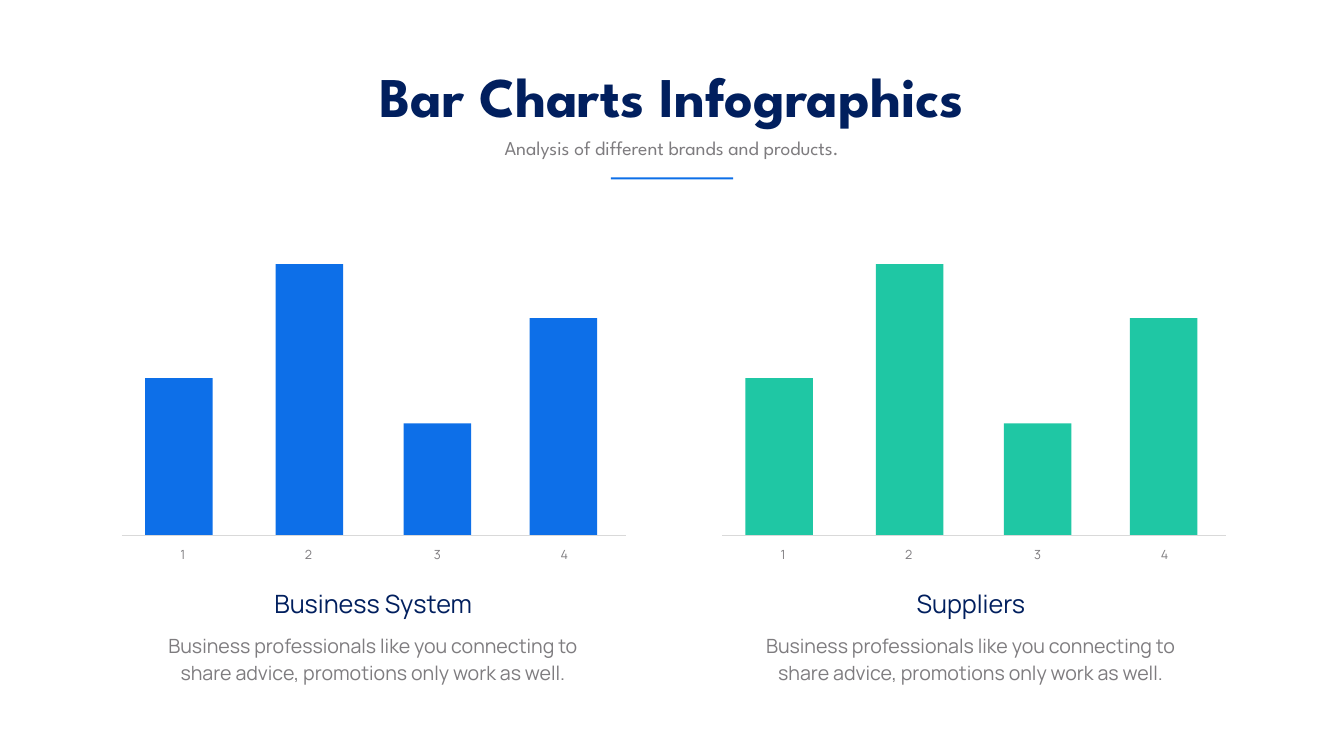
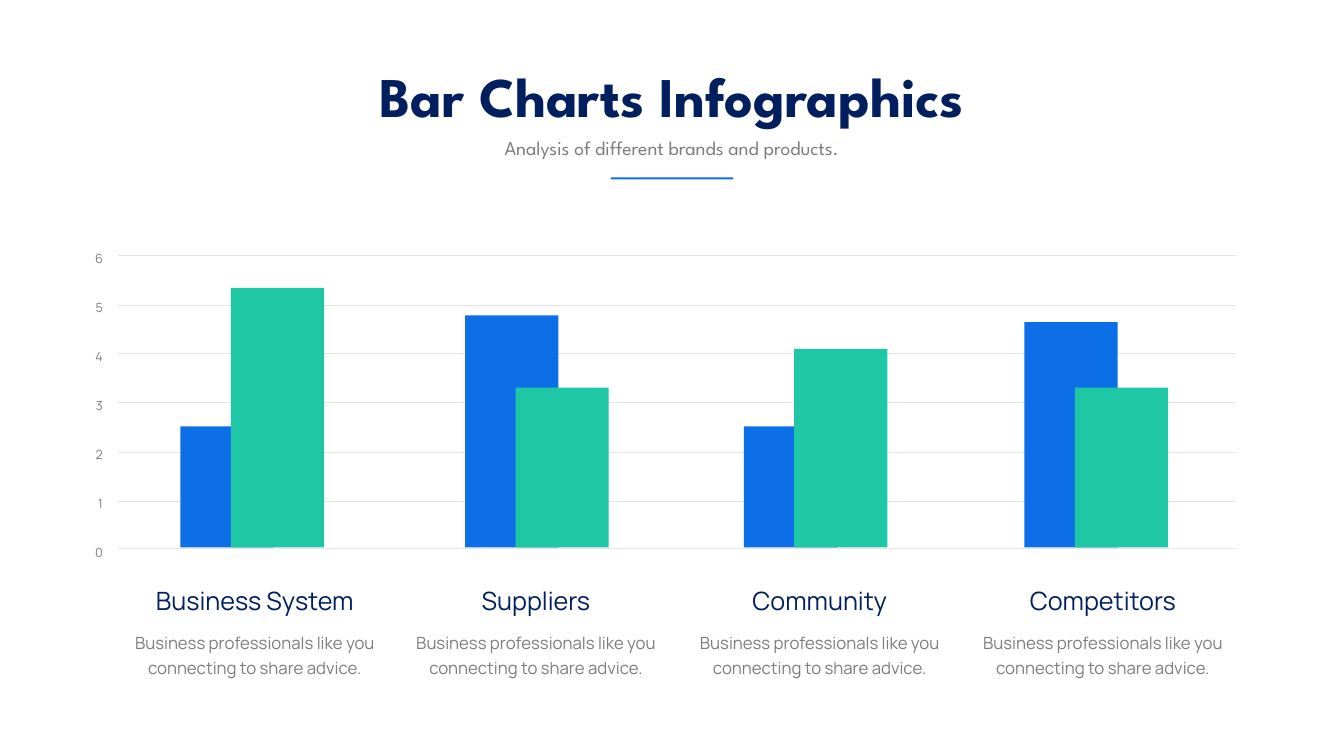
from lxml import etree
from pptx import Presentation
from pptx.dml.color import RGBColor
from pptx.enum.shapes import MSO_CONNECTOR, MSO_SHAPE
from pptx.enum.text import MSO_AUTO_SIZE, PP_ALIGN
from pptx.oxml.ns import qn
from pptx.util import Pt

PX = 9144
RECT = MSO_SHAPE.RECTANGLE
LINE = MSO_CONNECTOR.STRAIGHT
GROW = MSO_AUTO_SIZE.SHAPE_TO_FIT_TEXT
MID, RIGHT = PP_ALIGN.CENTER, PP_ALIGN.RIGHT
HEAD, BODY = "League Spartan", "Manrope"
COL = {
    "navy": "011F5E",
    "gray": "7E7C7F",
    "blue": "0D6FE8",
    "green": "1FC7A4",
    "base": "D9D9D9",
    "grid": "E5E5E5",
}


def text(slide, words, x, y, w, h, size, color="gray", font=BODY,
         lead=None, align=MID, bold=False, wrap=True):
    box = slide.shapes.add_textbox(x * PX, y * PX, w * PX, h * PX)
    frame = box.text_frame
    frame.word_wrap = wrap
    frame.auto_size = GROW
    para = frame.paragraphs[0]
    para.text = words
    para.alignment = align
    if lead:
        para.line_spacing = Pt(lead)
    para.font.name = font
    para.font.size = Pt(size)
    para.font.bold = bold
    para.font.color.rgb = RGBColor.from_string(COL[color])


def draw(slide, x, y, w, h, color, width=1):
    rgb = RGBColor.from_string(COL[color])
    if h:
        bar = slide.shapes.add_shape(RECT, x * PX, y * PX, w * PX, h * PX)
        bar.shadow.inherit = False
        bar.fill.solid()
        bar.fill.fore_color.rgb = rgb
        bar.line.fill.background()
    else:
        rule = slide.shapes.add_connector(
            LINE, x * PX, y * PX, (x + w) * PX, y * PX)
        rule.line.color.rgb = rgb
        rule.line.width = Pt(width)
        etree.SubElement(rule._element.spPr, qn("a:effectLst"))


deck = Presentation()
deck.slide_width = 2667 * PX
deck.slide_height = 1500 * PX
pair, group = [deck.slides.add_slide(deck.slide_layouts[6]) for _ in range(2)]

for slide in (pair, group):
    text(slide, "Bar Charts Infographics", 692, 117, 1282, 145, 80,
         "navy", HEAD, bold=True, wrap=False)
    text(slide, "Analysis of different brands and products.",
         855, 265, 956, 57, 28, font=HEAD)
    draw(slide, 1212, 352, 243, 4, "blue")

FLOOR = 1062
BARS = [(46, 312, 62), (305, 538, 311), (559, 222, 567), (809, 431, 819)]
PANELS = [
    (242, 288, "Business System", "blue"),
    (1433, 1474, "Suppliers", "green"),
]
for left, note, name, color in PANELS:
    text(pair, "Business professionals like you connecting to share advice, "
         "promotions only work as well.", note, 1245, 904, 118, 28, lead=38.6)
    text(pair, name, note + 208, 1162, 489, 71, 36, "navy")
    for num, (step, tall, tag) in enumerate(BARS, 1):
        draw(pair, left + step, FLOOR - tall, 134, tall, color)
        text(pair, str(num), left + tag, 1060, 118, 56, 18, lead=35.6)
    draw(pair, left, FLOOR, 1000, 0, "base")

for num, y in enumerate([1088, 995, 898, 798, 700, 605, 507]):
    draw(group, 235, y, 2217, 0, "grid", 0.5)
    text(group, str(num), 102, 1056 - num * 97, 112, 56, 18,
         lead=35.6, align=RIGHT)

BASE = 1086
SETS = [
    ("Business System", 358, 240, 515, 238),
    ("Suppliers", 923, 460, 317, 796),
    ("Community", 1476, 240, 394, 1359),
    ("Competitors", 2033, 447, 317, 1921),
]
for name, x, back, front, note in SETS:
    draw(group, x, BASE - back, 185, back, "blue")
    draw(group, x + 100, BASE - front, 185, front, "green")
    text(group, "Business professionals like you connecting to share advice.",
         note, 1241, 535, 109, 24, lead=35.6)
    text(group, name, note + 23, 1157, 489, 71, 36, "navy")

deck.save("out.pptx")
